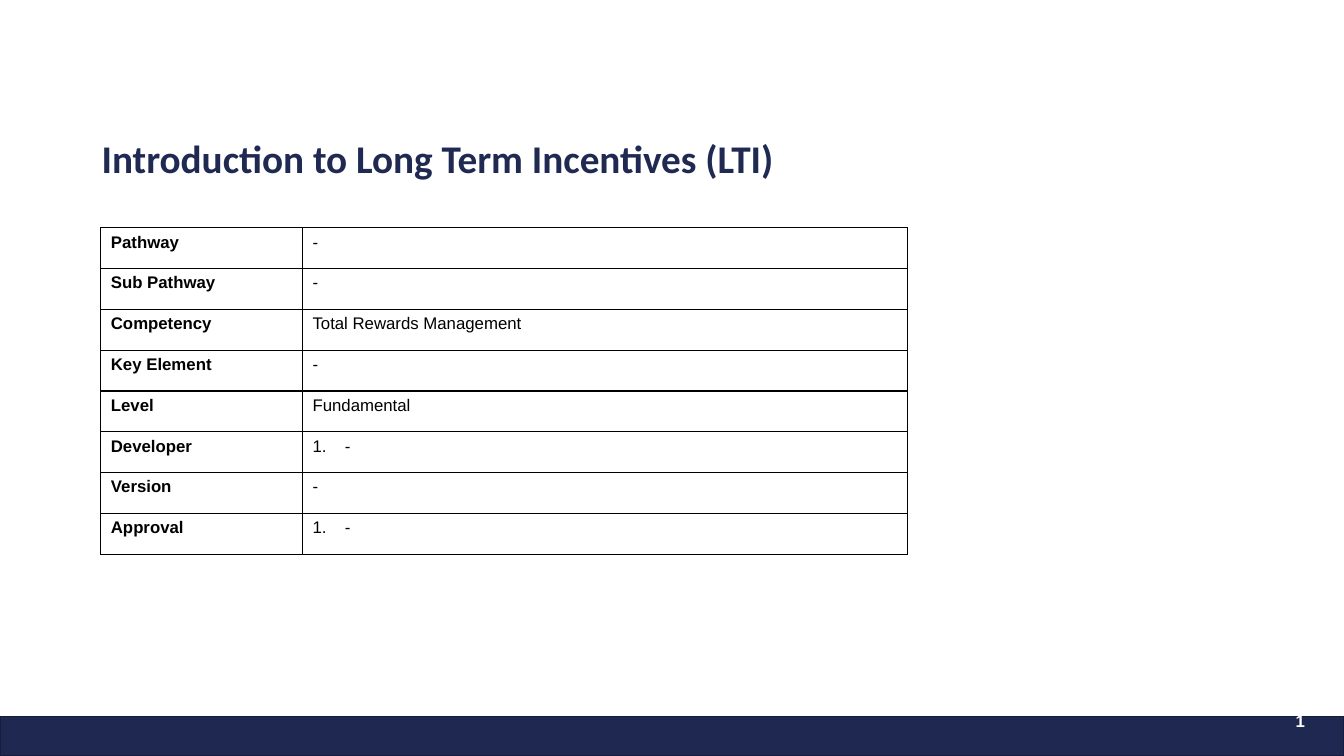
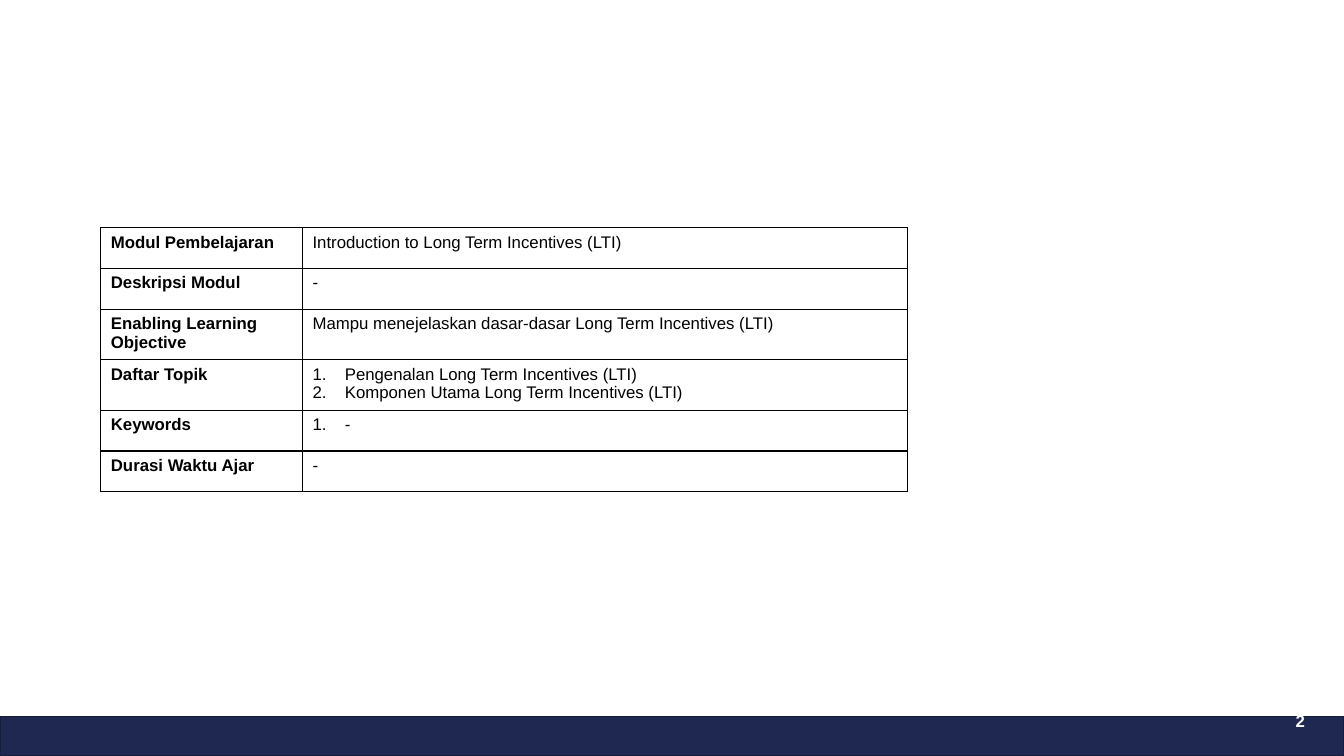
from lxml.etree import SubElement
from pptx import Presentation
from pptx.dml.color import RGBColor
from pptx.enum.shapes import MSO_SHAPE
from pptx.enum.text import MSO_ANCHOR
from pptx.oxml.ns import qn
from pptx.util import Inches, Pt

NAVY = RGBColor(0x1F, 0x28, 0x51)
EDGE = RGBColor(0x16, 0x1D, 0x3B)
TITLE = RGBColor(0x1F, 0x29, 0x52)
BLACK = RGBColor(0, 0, 0)
WHITE = RGBColor(255, 255, 255)

SLIDES = [
    ("Introduction to Long Term Incentives (LTI)", [
        ("Pathway", "-"),
        ("Sub Pathway", "-"),
        ("Competency", "Total Rewards Management"),
        ("Key Element", "-"),
        ("Level", "Fundamental"),
        ("Developer", ["-"]),
        ("Version", "-"),
        ("Approval", ["-"]),
    ]),
    (None, [
        ("Modul Pembelajaran", "Introduction to Long Term Incentives (LTI)"),
        ("Deskripsi Modul", "-"),
        ("Enabling Learning Objective", "Mampu menejelaskan dasar-dasar Long Term Incentives (LTI)"),
        ("Daftar Topik", ["Pengenalan Long Term Incentives (LTI)",
                          "Komponen Utama Long Term Incentives (LTI)"]),
        ("Keywords", ["-"]),
        ("Durasi Waktu Ajar", "-"),
    ]),
]

WIDE, HIGH = Inches(13.33), Inches(7.5)
BAND = Inches(0.39)
COLS = Inches(2), Inches(6)
ROW = Inches(3.24) // 8
INDENT = Inches(0.32)


def write(frame, text, size=12, font="Arial", color=BLACK, bold=False, line=None):
    listed = isinstance(text, list)
    for i, item in enumerate(text if listed else [text]):
        para = frame.add_paragraph() if i else frame.paragraphs[0]
        para.line_spacing = line
        if listed:
            props = para._p.get_or_add_pPr()
            props.set("marL", str(INDENT))
            props.set("indent", str(-INDENT))
            SubElement(props, qn("a:buFont"), typeface=font)
            SubElement(props, qn("a:buAutoNum"), type="arabicPeriod")
        run = para.add_run()
        run.text = item
        run.font.size = Pt(size)
        run.font.name = font
        run.font.bold = bold
        run.font.color.rgb = color


def add_box(slide, left, top, width, height):
    frame = slide.shapes.add_textbox(
        Inches(left), Inches(top), Inches(width), Inches(height)).text_frame
    frame.word_wrap = True
    return frame


def add_band(slide):
    band = slide.shapes.add_shape(MSO_SHAPE.RECTANGLE, 0, HIGH - BAND, WIDE, BAND)
    band.shadow.inherit = False
    band.fill.solid()
    band.fill.fore_color.rgb = NAVY
    band.line.color.rgb = EDGE
    band.line.width = Pt(1)


def add_title(slide, text):
    frame = add_box(slide, 0.91, 1.1, 11.73, 0.75)
    frame.vertical_anchor = MSO_ANCHOR.BOTTOM
    write(frame, text, size=28, font="Calibri", color=TITLE, bold=True, line=0.9)


def add_number(slide, number):
    frame = add_box(slide, 12.58, 7.02, 0.66, 0.57)
    frame.margin_left = Inches(0.27)
    write(frame, str(number), color=WHITE, bold=True, line=0.9)


def style_cell(cell):
    props = cell._tc.get_or_add_tcPr()
    for side in ("lnL", "lnR", "lnT", "lnB"):
        edge = SubElement(props, qn("a:" + side), w=str(Pt(1)))
        fill = SubElement(edge, qn("a:solidFill"))
        SubElement(fill, qn("a:srgbClr"), val=str(BLACK))
    cell.fill.solid()
    cell.fill.fore_color.rgb = WHITE


def add_grid(slide, rows):
    grid = slide.shapes.add_table(
        len(rows), len(COLS), Inches(1), Inches(2.26), sum(COLS), ROW * len(rows)).table
    grid.first_row = grid.horz_banding = False
    for col, width in zip(grid.columns, COLS):
        col.width = width
    for r, row in enumerate(rows):
        for c, text in enumerate(row):
            cell = grid.cell(r, c)
            style_cell(cell)
            write(cell.text_frame, text, bold=c == 0)


def main():
    deck = Presentation()
    deck.slide_width, deck.slide_height = WIDE, HIGH
    for number, (title, rows) in enumerate(SLIDES, 1):
        slide = deck.slides.add_slide(deck.slide_layouts[6])
        add_band(slide)
        if title:
            add_title(slide, title)
        add_grid(slide, rows)
        add_number(slide, number)
    deck.save("out.pptx")


if __name__ == "__main__":
    main()
